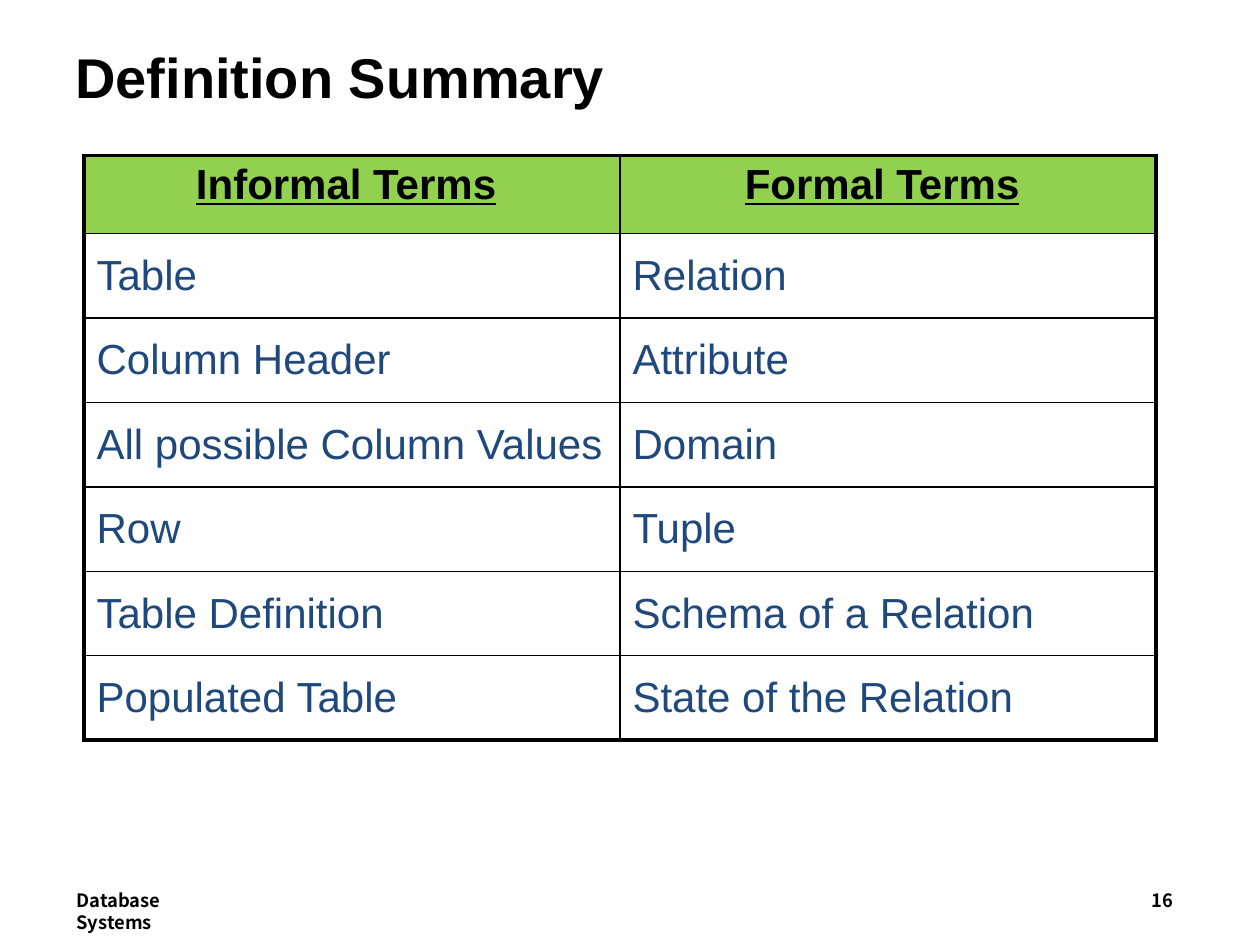
from pptx import Presentation
from pptx.dml.color import RGBColor
from pptx.enum.text import MSO_ANCHOR, PP_ALIGN
from pptx.oxml import parse_xml
from pptx.oxml.ns import nsdecls
from pptx.util import Pt

COLORS = {"black": "000000", "green": "92D050", "navy": "1F497D"}
FOOTER = {"size": 10.5, "font": "Noto Sans CJK KR", "bold": True}
THIN, THICK = 1, 2.25


def add_text(paragraph, text, size=24, font="Arial", color="black", bold=False, underline=False):
    run = paragraph.add_run()
    run.text = text
    run.font.size = Pt(size)
    run.font.name = font
    run.font.bold = bold
    run.font.underline = underline
    run.font.color.rgb = RGBColor.from_string(COLORS[color])


def add_border(cell, side, width):
    line = parse_xml(
        f'<a:{side} {nsdecls("a")} w="{Pt(width)}"><a:solidFill>'
        f'<a:srgbClr val="{COLORS["black"]}"/></a:solidFill></a:{side}>'
    )
    cell._tc.get_or_add_tcPr().append(line)


presentation = Presentation()
presentation.slide_width, presentation.slide_height = Pt(720), Pt(540)
slide = presentation.slides.add_slide(presentation.slide_layouts[6])

# Title, footer and page number
title_format = {"size": 32, "bold": True}
for text, left, top, width, height, anchor, text_format in [
    ("Database Systems", 36.7, 504.7, 106.5, 20.2, MSO_ANCHOR.TOP, FOOTER),
    ("16", 650.9, 504.7, 28.1, 20.9, MSO_ANCHOR.TOP, FOOTER),
    ("Definition Summary", 36, 21.6, 648, 44, MSO_ANCHOR.MIDDLE, title_format),
]:
    shape = slide.shapes.add_textbox(Pt(left), Pt(top), Pt(width), Pt(height))
    shape.text_frame.word_wrap = True
    shape.text_frame.vertical_anchor = anchor
    add_text(shape.text_frame.paragraphs[0], text, **text_format)

# Table of terms
rows = [
    ("Informal Terms", "Formal Terms"),
    ("Table", "Relation"),
    ("Column Header", "Attribute"),
    ("All possible Column Values", "Domain"),
    ("Row", "Tuple"),
    ("Table Definition", "Schema of a Relation"),
    ("Populated Table", "State of the Relation"),
]
last_row, last_column = len(rows) - 1, 1
table = slide.shapes.add_table(len(rows), 2, Pt(48), Pt(88.7), Pt(612.6), Pt(334.4)).table
for column in table.columns:
    column.width = Pt(306.3)

for row_index, terms in enumerate(rows):
    is_header = row_index == 0
    table.rows[row_index].height = Pt(44.8 if is_header else 48.27)
    for column_index, term in enumerate(terms):
        cell = table.cell(row_index, column_index)
        paragraph = cell.text_frame.paragraphs[0]

        # Borders: thick around the table, thin inside
        for side, is_outer in [
            ("lnL", column_index == 0),
            ("lnR", column_index == last_column),
            ("lnT", is_header),
            ("lnB", row_index == last_row),
        ]:
            add_border(cell, side, THICK if is_outer else THIN)

        if is_header:
            cell.fill.solid()
            cell.fill.fore_color.rgb = RGBColor.from_string(COLORS["green"])
            paragraph.alignment = PP_ALIGN.CENTER
            add_text(paragraph, term, bold=True, underline=True)
            add_text(paragraph, " ", color="navy", bold=True)
        else:
            cell.fill.background()
            cell.vertical_anchor = MSO_ANCHOR.MIDDLE
            add_text(paragraph, term, color="navy")

presentation.save("out.pptx")
